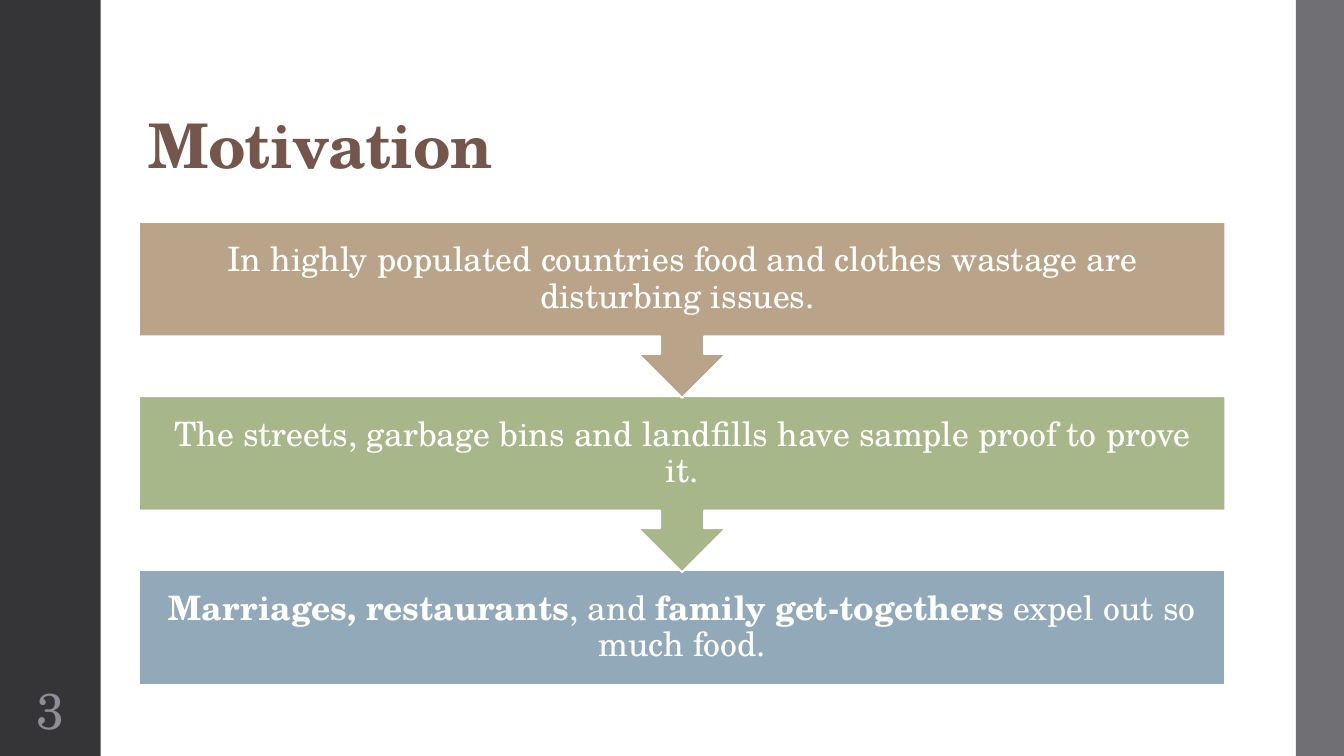
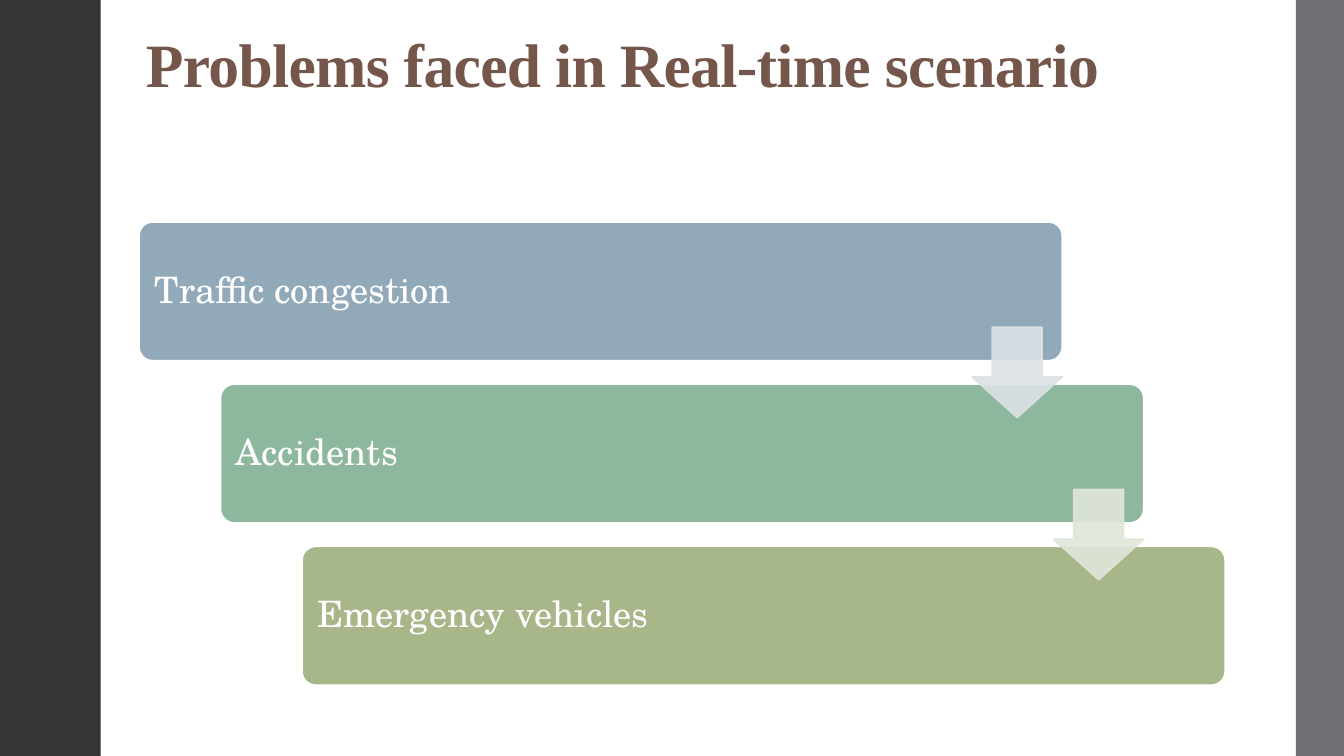
from lxml.etree import SubElement
from pptx import Presentation
from pptx.dml.color import RGBColor
from pptx.enum.shapes import MSO_SHAPE
from pptx.enum.text import MSO_ANCHOR, PP_ALIGN
from pptx.oxml.ns import qn
from pptx.util import Cm, Pt

HUES = {
    "white": "FFFFFF", "dark": "353537", "gray": "6F6F74", "page": "8E8E94",
    "title": "74564A", "tan": "B9A489", "green": "A7B789", "blue": "92A9B9",
    "mint": "8EB89E", "ice": "DCE2E6", "pale": "E1E6DA",
}
SERIF = "TeX Gyre Schola"
TIMES = "Times New Roman"
WIDE, HIGH = 33.87, 19.05
BODY = (3.5, 5.59, 27.38, 11.68)


def tint(name):
    return RGBColor.from_string(HUES[name])


def draw(slide, kind, box, fill, line=None, width=1.35):
    shape = slide.shapes.add_shape(kind, *map(Cm, box))
    shape.shadow.inherit = False
    shape.fill.solid()
    shape.fill.fore_color.rgb = tint(fill)
    if line:
        shape.line.color.rgb = tint(line)
        shape.line.width = Pt(width)
    else:
        shape.line.fill.background()
    return shape


def fade(shape, share):
    for color in shape.element.spPr.iter(qn("a:srgbClr")):
        SubElement(color, qn("a:alpha"), val=str(share * 1000))


def write(shape, runs, size, hue="white", font=SERIF, align=PP_ALIGN.LEFT,
          anchor=MSO_ANCHOR.MIDDLE, pad=(0.25, 0.13), space=None):
    frame = shape.text_frame
    frame.word_wrap = True
    frame.vertical_anchor = anchor
    frame.margin_left = frame.margin_right = Cm(pad[0])
    frame.margin_top = frame.margin_bottom = Cm(pad[1])
    para = frame.paragraphs[0]
    para.alignment = align
    para.line_spacing = 0.9
    for text, bold in runs:
        run = para.add_run()
        run.text = text
        run.font.name = font
        run.font.size = Pt(size)
        run.font.bold = bold
        run.font.color.rgb = tint(hue)
        if space:
            run.font._element.set("spc", str(space))


def frame(slide, page=None):
    draw(slide, MSO_SHAPE.RECTANGLE, (0, 0, 2.54, HIGH), "dark")
    draw(slide, MSO_SHAPE.RECTANGLE, (32.66, 0, WIDE - 32.66, HIGH), "gray")
    if page:
        label = slide.shapes.add_textbox(Cm(0), Cm(17.15), Cm(2.54), Cm(1.65))
        write(label, [(page, False)], 36, "page", align=PP_ALIGN.CENTER,
              pad=(0.13, 0.13))


def head(slide, text, left, base, font):
    tall = 1.8
    label = slide.shapes.add_textbox(Cm(left), Cm(base - tall), Cm(27.38), Cm(tall))
    write(label, [(text, True)], 44, "title", font,
          anchor=MSO_ANCHOR.BOTTOM, space=-50)


def flow(slide, box, items):
    left, top, wide, high = box
    bar = 0.248 * high
    step = (high - bar) / (len(items) - 1)
    last = len(items) - 1
    for i, (fill, runs) in reversed(list(enumerate(items))):
        kind = MSO_SHAPE.RECTANGLE if i == last else MSO_SHAPE.DOWN_ARROW_CALLOUT
        tall = bar if i == last else 0.38 * high
        shape = draw(slide, kind, (left, top + i * step, wide, tall), fill, "white")
        write(shape, runs, 24, align=PP_ALIGN.CENTER, pad=(0.48, 0.48))


def stairs(slide, box, items, hints):
    left, top, wide, high = box
    long, tall = 0.85 * wide, 0.3 * high
    gaps = len(items) - 1
    right, down = (wide - long) / gaps, (high - tall) / gaps
    for i, (fill, text) in enumerate(items):
        spot = (left + i * right, top + i * down, long, tall)
        shape = draw(slide, MSO_SHAPE.ROUNDED_RECTANGLE, spot, fill, "white")
        shape.adjustments[0] = 0.1
        write(shape, [(text, False)], 26, pad=(0.28, 0.28))
    size = 0.65 * tall
    for i, hue in enumerate(hints):
        mid = top + i * down + (tall + down) / 2
        spot = (left + i * right + long - size, mid - size / 2, size, size)
        arrow = draw(slide, MSO_SHAPE.DOWN_ARROW, spot, hue, hue, 1.1)
        arrow.adjustments[0] = 0.55
        arrow.adjustments[1] = 0.45
        fade(arrow, 90)


def motive(deck):
    slide = deck.slides.add_slide(deck.slide_layouts[6])
    frame(slide, "3")
    head(slide, "Motivation", 3.5, 4.7, SERIF)
    flow(slide, BODY, [
        ("tan", [("In highly populated countries food and clothes wastage "
                  "are disturbing issues. ", False)]),
        ("green", [("The streets, garbage bins and landfills have sample "
                    "proof to prove it.", False)]),
        ("blue", [("Marriages, restaurants", True), (", and ", False),
                  ("family get-togethers", True),
                  (" expel out so much food.", False)]),
    ])


def issues(deck):
    slide = deck.slides.add_slide(deck.slide_layouts[6])
    frame(slide)
    head(slide, "Problems faced in Real-time scenario", 3.43, 2.67, TIMES)
    stairs(slide, BODY, [
        ("blue", "Traffic congestion"),
        ("mint", "Accidents"),
        ("green", "Emergency vehicles"),
    ], ["ice", "pale"])


def main():
    deck = Presentation()
    deck.slide_width, deck.slide_height = Cm(WIDE), Cm(HIGH)
    motive(deck)
    issues(deck)
    deck.save("out.pptx")


if __name__ == "__main__":
    main()
